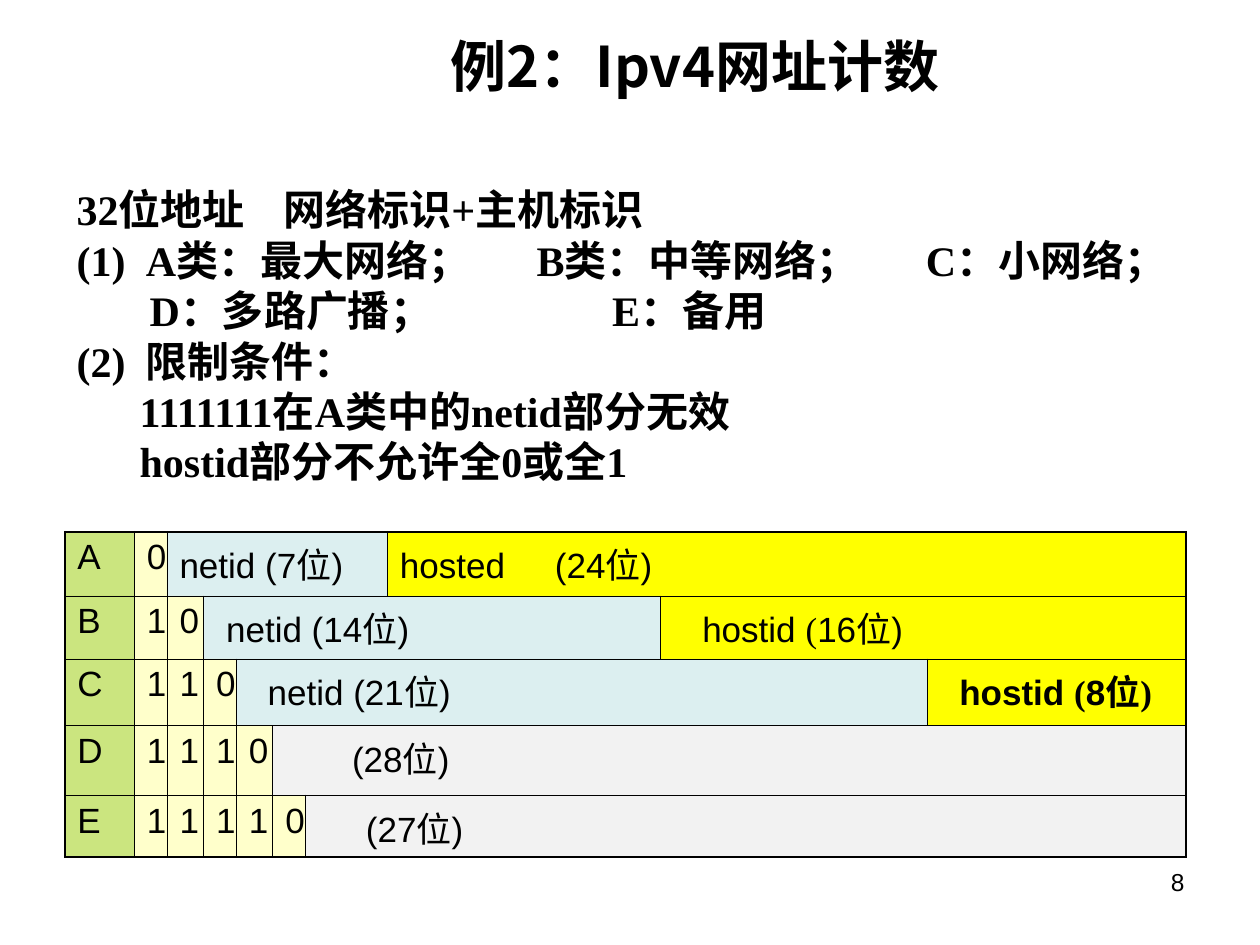
from lxml.etree import SubElement
from pptx import Presentation
from pptx.dml.color import RGBColor
from pptx.enum.text import MSO_ANCHOR, MSO_AUTO_SIZE, PP_ALIGN
from pptx.oxml.ns import qn
from pptx.util import Inches, Pt

COLORS = {
    "text": "000000",
    "border": "000000",
    "class": "99CC00",
    "prefix": "FFFF99",
    "network": "BBE0E3",
    "host": "FFFF00",
    "reserved": "F2F2F2",
}
TRANSLUCENT = {"class", "prefix", "network"}
SANS, SERIF, CHINESE = "Arial", "Times New Roman", "Noto Sans CJK SC"

# The slide is a grid of 100 columns by 75 rows.
UNIT = Inches(0.1)
TITLE_BOX = (21.7, 2.9, 66.9, 4.6)
BODY_BOX = (5.1, 14.1, 89.8, 25)
TABLE_BOX = (5.15, 42.2, 89, 25.8)
NUMBER_BOX = (71.7, 68.3, 23.3, 5.2)

COLUMNS = [5.5, 2.6, 2.9, 2.6, 2.9, 2.6, 6.5, 21.7, 21.2, 20.5]
ROWS = [5.1, 5, 5.3, 5.5, 4.9]
LAST_COLUMN, LAST_ROW = len(COLUMNS) - 1, len(ROWS) - 1

# Body lines: text, left indent, tab stops.
CLASS_STOPS = (5.5, 36.5, 67.4)
BODY_LINES = [
    ("32位地址\t网络标识+主机标识", 0, (16.4,)),
    ("(1)\tA类：最大网络；\tB类：中等网络；\tC：小网络；", 0, CLASS_STOPS),
    ("D：多路广播；\tE：备用", 5.8, (36.7,)),
    ("(2)\t限制条件：", 0, CLASS_STOPS),
    ("1111111在A类中的netid部分无效", 5, ()),
    ("hostid部分不允许全0或全1", 5, ()),
]

# Address classes: letter, prefix bits, fields.
# Field: text pieces (sans and serif in turn), columns, fill, indent, tab stops, bold.
ADDRESS_CLASSES = [
    ("A", "0", [(["netid (7位)"], 5, "network", 0, (), False),
                (["hosted\t(24位)"], 3, "host", 0, (12.3,), False)]),
    ("B", "10", [(["netid (14位)"], 5, "network", 0.8, (), False),
                 (["hostid ", "(", "16位)"], 2, "host", 2.3, (), False)]),
    ("C", "110", [(["netid (21位)"], 5, "network", 1.5, (), False),
                  (["hostid ", "(", "8", "位)"], 1, "host", 1.5, (), True)]),
    ("D", "1110", [(["(28位)"], 5, "reserved", 5.3, (), False)]),
    ("E", "11110", [(["(27位)"], 4, "reserved", 3.8, (), False)]),
]


def units(value):
    return round(value * UNIT)


def style_paragraph(paragraph, font_name, size, bold=False, indent=0, stops=()):
    properties = paragraph._p.get_or_add_pPr()
    if indent:
        properties.set("marL", str(units(indent)))
    if stops:
        tab_list = SubElement(properties, qn("a:tabLst"))
        for stop in stops:
            SubElement(tab_list, qn("a:tab"), pos=str(units(stop)), algn="l")
    font = paragraph.font
    font.name, font.size, font.bold = font_name, Pt(size), bold
    font.color.rgb = RGBColor.from_string(COLORS["text"])
    SubElement(properties.find(qn("a:defRPr")), qn("a:ea"), typeface=CHINESE)


def add_text_frame(slide, box, anchor=MSO_ANCHOR.TOP):
    text_frame = slide.shapes.add_textbox(*map(units, box)).text_frame
    text_frame.word_wrap = True
    text_frame.vertical_anchor = anchor
    return text_frame


def add_title(slide, box):
    paragraph = add_text_frame(slide, box, MSO_ANCHOR.MIDDLE).paragraphs[0]
    paragraph.text = "例2：Ipv4网址计数"
    paragraph.alignment = PP_ALIGN.CENTER
    style_paragraph(paragraph, CHINESE, 32, bold=True)


def add_body(slide, box):
    text_frame = add_text_frame(slide, box, MSO_ANCHOR.MIDDLE)
    text_frame.auto_size = MSO_AUTO_SIZE.SHAPE_TO_FIT_TEXT
    for number, (text, indent, stops) in enumerate(BODY_LINES):
        paragraph = text_frame.add_paragraph() if number else text_frame.paragraphs[0]
        paragraph.text = text
        style_paragraph(paragraph, SERIF, 24, True, indent, stops)


def add_slide_number(slide, box):
    paragraph = add_text_frame(slide, box).paragraphs[0]
    paragraph.text = "8"
    paragraph.alignment = PP_ALIGN.RIGHT
    style_paragraph(paragraph, SANS, 14)


def set_borders(cell, outer_sides):
    """Draw thick lines on the table's rim and thin ones inside."""
    properties = cell._tc.get_or_add_tcPr()
    for side, is_outer in zip("LRTB", outer_sides):
        width = Pt(1.08 if is_outer else 0.45)
        line = SubElement(properties, qn(f"a:ln{side}"), w=str(width))
        fill = SubElement(line, qn("a:solidFill"))
        SubElement(fill, qn("a:srgbClr"), val=COLORS["border"])


def fill_cell(cell, color_name):
    cell.fill.solid()
    cell.fill.fore_color.rgb = RGBColor.from_string(COLORS[color_name])
    if color_name in TRANSLUCENT:
        color = cell._tc.tcPr.find(qn("a:solidFill")).find(qn("a:srgbClr"))
        SubElement(color, qn("a:alpha"), val="50000")


def write_cell(table, row, column, field):
    """Write one field and return the column that follows it."""
    pieces, span, color_name, indent, stops, bold = field
    cell = table.cell(row, column)
    last = column + span - 1
    if span > 1:
        cell.merge(table.cell(row, last))
    set_borders(cell, (column == 0, last == LAST_COLUMN, row == 0, row == LAST_ROW))
    fill_cell(cell, color_name)
    paragraph = cell.text_frame.paragraphs[0]
    if column == 1:
        paragraph.alignment = PP_ALIGN.CENTER
    style_paragraph(paragraph, SANS, 20, bold, indent, stops)
    for number, piece in enumerate(pieces):
        run = paragraph.add_run()
        run.text = piece
        if number % 2:
            run.font.name = SERIF
    return last + 1


def add_address_table(slide, box):
    frame = slide.shapes.add_table(len(ROWS), len(COLUMNS), *map(units, box))
    table = frame.table
    table.first_row = table.horz_banding = False
    for column, width in zip(table.columns, COLUMNS):
        column.width = units(width)
    for row, height in zip(table.rows, ROWS):
        row.height = units(height)
    for row, (letter, prefix, fields) in enumerate(ADDRESS_CLASSES):
        cells = [([letter], 1, "class", 0, (), False)]
        cells += [([bit], 1, "prefix", 0, (), False) for bit in prefix]
        column = 0
        for field in cells + fields:
            column = write_cell(table, row, column, field)


def main():
    presentation = Presentation()
    presentation.slide_width, presentation.slide_height = units(100), units(75)
    slide = presentation.slides.add_slide(presentation.slide_layouts[6])
    add_slide_number(slide, NUMBER_BOX)
    add_address_table(slide, TABLE_BOX)
    add_title(slide, TITLE_BOX)
    add_body(slide, BODY_BOX)
    presentation.save("out.pptx")


if __name__ == "__main__":
    main()
